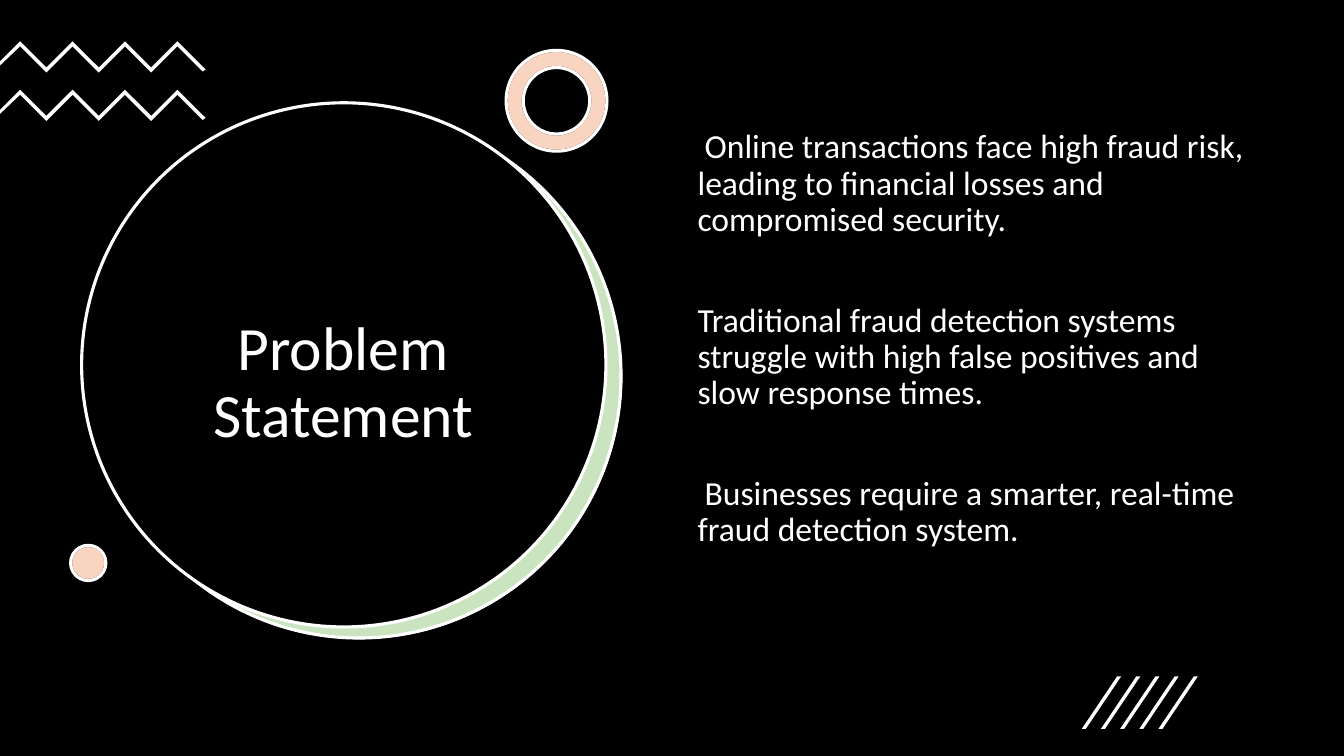
from pptx import Presentation
from pptx.dml.color import RGBColor
from pptx.enum.shapes import MSO_SHAPE as Preset
from pptx.enum.text import MSO_ANCHOR as Anchor, PP_ALIGN as Align
from pptx.oxml.ns import qn
from pptx.util import Inches, Pt
from lxml.etree import SubElement

# Content
TITLE = "Problem Statement"
FIRST_LINE_INDENT = 0.07
STATEMENTS = [  # text, first-line indent
    ("Online transactions face high fraud risk, leading to financial losses "
     "and compromised security.", FIRST_LINE_INDENT),
    ("Traditional fraud detection systems struggle with high false positives "
     "and slow response times.", 0),
    ("Businesses require a smarter, real-time fraud detection system.",
     FIRST_LINE_INDENT),
]
FONT = "Calibri"
COLORS = {"black": "000000", "white": "FFFFFF", "green": "4EA72E", "orange": "E97132"}
TINT = 30  # opacity of the tinted fills, in percent

# Decoration: preset, left, top, size, fill, opacity, outline
DISCS = [
    (Preset.OVAL, 0.97, 1.14, 5.2, "white", 100, None),
    (Preset.OVAL, 0.96, 1.13, 5.2, "green", TINT, "white"),
    (Preset.OVAL, 0.81, 1.02, 5.2, "black", 100, "white"),
    (Preset.DONUT, 5.02, 0.5, 1, "white", 100, "black"),
    (Preset.DONUT, 5.02, 0.5, 1, "orange", TINT, "white"),
    (Preset.OVAL, 0.7, 5.41, 0.35, "white", 100, "black"),
    (Preset.OVAL, 0.7, 5.41, 0.35, "orange", TINT, "white"),
]
RING_THICKNESS = 0.17
ZIGZAG_TOPS = [0.41, 0.89]
ZIGZAG_START, ZIGZAG_STEP, ZIGZAG_TURNS = 0.2, 0.26, 7
ZIGZAG_THICKNESS = 0.05
SLASH_COUNT, SLASH_LEFT, SLASH_STEP = 5, 10.73, 0.19
SLASH_TOP, SLASH_BOTTOM, SLASH_LEAN, SLASH_WIDTH = 6.71, 7.23, 0.35, 0.04


def rgb(name):
    return RGBColor.from_string(COLORS[name])


def paint(shape, fill, opacity=100, outline=None):
    shape.shadow.inherit = False
    shape.fill.solid()
    shape.fill.fore_color.rgb = rgb(fill)
    if opacity < 100:
        color = shape.fill._xPr.find(qn("a:solidFill"))[0]
        SubElement(color, qn("a:alpha")).set("val", str(opacity * 1000))
    if outline:
        shape.line.color.rgb = rgb(outline)
        shape.line.width = Pt(2.25)
    else:
        shape.line.fill.background()


def add_polygon(shapes, points):
    corners = [(Inches(x), Inches(y)) for x, y in points]
    builder = shapes.build_freeform(*corners[0])
    builder.add_line_segments(corners[1:], close=True)
    paint(builder.convert_to_shape(), "white")


def add_text(slide, box, texts, size, align, anchor, gap=0):
    frame = slide.shapes.add_textbox(*map(Inches, box)).text_frame
    frame.word_wrap = True
    frame.vertical_anchor = anchor
    for number, (text, indent) in enumerate(texts):
        paragraph = frame.add_paragraph() if number else frame.paragraphs[0]
        paragraph.text = text
        paragraph.alignment = align
        paragraph.line_spacing = 0.9
        if number:
            paragraph.space_before = Pt(gap)
        if indent:
            paragraph._p.get_or_add_pPr().set("indent", str(Inches(indent)))
        for run in paragraph.runs:
            run.font.name = FONT
            run.font.size = Pt(size)
            run.font.color.rgb = rgb("white")


def zigzag_points(top):
    upper = [(ZIGZAG_START + turn * ZIGZAG_STEP, top + turn % 2 * ZIGZAG_STEP)
             for turn in range(ZIGZAG_TURNS)]
    lower = [(x, y + ZIGZAG_THICKNESS) for x, y in reversed(upper)]
    right_end = [(2.04, top + 0.28), (2.01, top + 0.3)]
    left_end = [(0, top + 0.24), (0, top + 0.2)]
    return upper + right_end + lower + left_end


def slash_points(left):
    top_left = left + SLASH_LEAN
    return [(left + SLASH_WIDTH, SLASH_BOTTOM), (left, SLASH_BOTTOM),
            (top_left, SLASH_TOP), (top_left + SLASH_WIDTH, SLASH_TOP)]


def main():
    presentation = Presentation()
    presentation.slide_width = Inches(13.33)
    presentation.slide_height = Inches(7.5)
    slide = presentation.slides.add_slide(presentation.slide_layouts[6])

    # Backdrop
    backdrop = slide.shapes.add_shape(
        Preset.RECTANGLE, 0, 0, presentation.slide_width, presentation.slide_height)
    paint(backdrop, "black")

    # Circles and ring
    for preset, left, top, size, fill, opacity, outline in DISCS:
        disc = slide.shapes.add_shape(
            preset, Inches(left), Inches(top), Inches(size), Inches(size))
        if preset == Preset.DONUT:
            disc.adjustments[0] = RING_THICKNESS
        paint(disc, fill, opacity, outline)

    # Zigzags and slashes
    zigzags = slide.shapes.add_group_shape().shapes
    for top in ZIGZAG_TOPS:
        add_polygon(zigzags, zigzag_points(top))
    slashes = slide.shapes.add_group_shape().shapes
    for number in range(SLASH_COUNT):
        add_polygon(slashes, slash_points(SLASH_LEFT + number * SLASH_STEP))

    # Title and statements
    add_text(slide, (1.2, 2.05, 4.41, 3.52), [(TITLE, 0)], 44,
             Align.CENTER, Anchor.MIDDLE)
    add_text(slide, (6.82, 1.24, 5.71, 4.76), STATEMENTS, 24,
             Align.LEFT, Anchor.TOP, gap=46)

    presentation.save("out.pptx")


if __name__ == "__main__":
    main()
